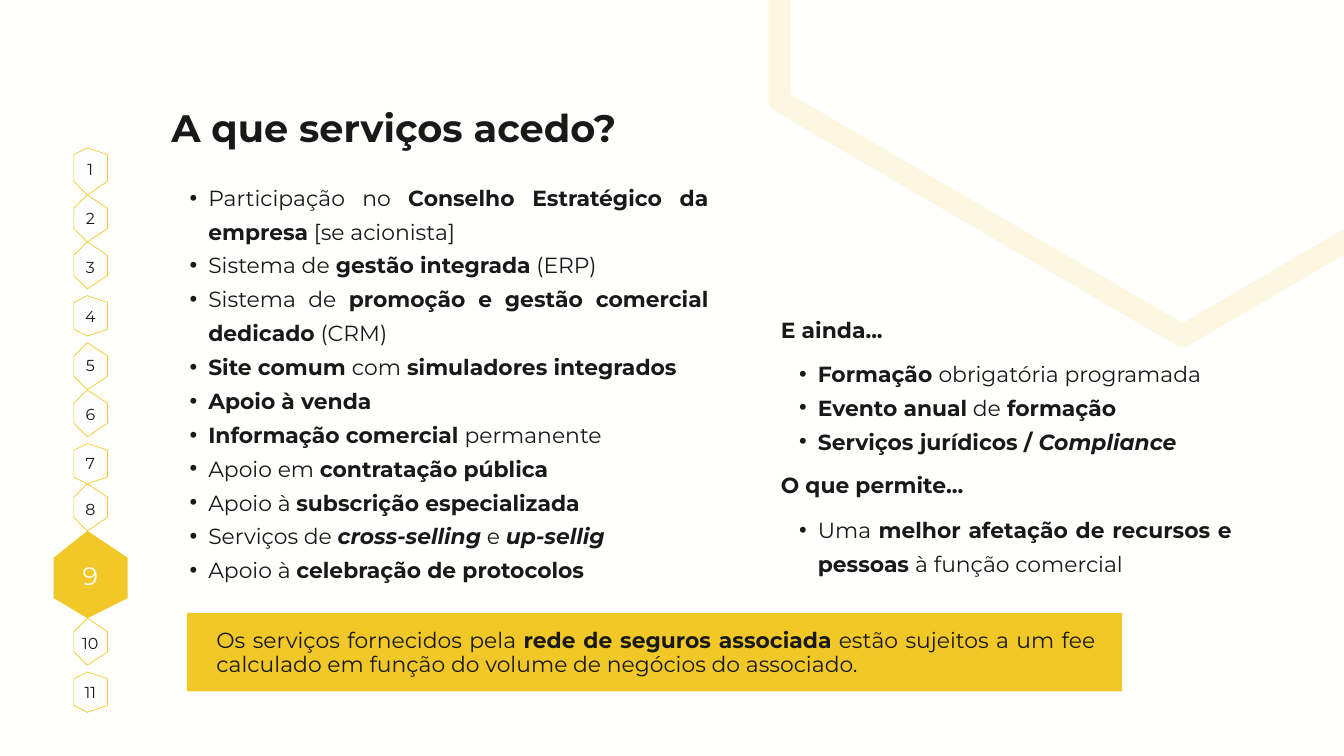
from lxml import etree
from pptx import Presentation
from pptx.dml.color import RGBColor
from pptx.enum.shapes import MSO_SHAPE
from pptx.enum.text import MSO_ANCHOR, MSO_AUTO_SIZE, PP_ALIGN
from pptx.oxml.ns import qn
from pptx.util import Inches, Pt

RECT = MSO_SHAPE.RECTANGLE
MIDDLE = MSO_ANCHOR.MIDDLE
GROW = MSO_AUTO_SIZE.SHAPE_TO_FIT_TEXT
LEFT, CENTER, JUST = PP_ALIGN.LEFT, PP_ALIGN.CENTER, PP_ALIGN.JUSTIFY

COLORS = {"paper": "FFFFFE", "white": "FFFEFE", "gold": "F1C828", "ink": "191919"}
FONT = "Montserrat"
BODY, LEAD = 23.4, 36.3

# The slide is a grid of 200 columns by 112.5 rows of square cells
CELL = Inches(20) // 200
COLS, ROWS = 200, 112.5

# Runs are (text, style): b is bold, i is italic
ACCESS = [
    [("Participação no ", ""), ("Conselho Estratégico da empresa", "b"),
     (" [se acionista]", "")],
    [("Sistema de", ""), (" gestão integrada", "b"), (" (ERP)", "")],
    [("Sistema de ", ""), ("promoção e gestão comercial dedicado", "b"), (" (CRM)", "")],
    [("Site comum ", "b"), ("com", ""), (" simuladores integrados", "b")],
    [("Apoio à venda", "b")],
    [("Informação comercial ", "b"), ("permanente", "")],
    [("Apoio em ", ""), ("contratação pública", "b")],
    [("Apoio à ", ""), ("subscrição especializada", "b")],
    [("Serviços de ", ""), ("cross-selling", "bi"), (" e ", ""), ("up-sellig", "bi")],
    [("Apoio à ", ""), ("celebração de protocolos", "b")],
]
EXTRA = [
    [("Formação ", "b"), ("obrigatória programada", "")],
    [("Evento anual", "b"), (" de", ""), (" formação", "b")],
    [("Serviços jurídicos / ", "b"), ("Compliance", "bi")],
]
GAIN = [[("Uma ", ""), ("melhor afetação de recursos e pessoas ", "b"),
         ("à função comercial", "")]]
FEE = [[("Os serviços fornecidos pela ", ""), ("rede de seguros associada", "b"),
        (" estão sujeitos a um fee calculado em função do volume"
         " de negócios do associado.", "")]]


def rgb(name):
    return RGBColor.from_string(COLORS[name])


def grid(box):
    return [round(v * CELL) for v in box]


def bullet(par):
    props = par._p.get_or_add_pPr()
    props.set("marL", str(Inches(0.55)))
    props.set("indent", str(Inches(-0.28)))
    props.set("lvl", "1")
    etree.SubElement(props, qn("a:buFont")).set("typeface", "Arial")
    etree.SubElement(props, qn("a:buChar")).set("char", "•")


def write(slide, box, paras, size=BODY, lead=LEAD, align=JUST, color="ink",
          dots=False, pad=0):
    shape = slide.shapes.add_textbox(*grid(box))
    frame = shape.text_frame
    frame.word_wrap = True
    frame.margin_left = frame.margin_right = Inches(pad)
    frame.margin_top = frame.margin_bottom = Inches(pad)
    if pad:
        frame.vertical_anchor = MIDDLE
    else:
        frame.auto_size = GROW
    for n, runs in enumerate(paras):
        par = frame.add_paragraph() if n else frame.paragraphs[0]
        if dots:
            bullet(par)
        par.alignment = align
        par.line_spacing = Pt(lead)
        for text, style in runs:
            run = par.add_run()
            run.text = text
            font = run.font
            font.name, font.size = FONT, Pt(size)
            font.bold, font.italic = "b" in style, "i" in style
            font.color.rgb = rgb(color)


def hexagon(slide, box):
    x, y, w, h = box
    points = [(x + w * a, y + h * b) for a, b in
              [(0.5, 0), (1, 0.25), (1, 0.75), (0.5, 1), (0, 0.75), (0, 0.25)]]
    pen = slide.shapes.build_freeform(*points[0], scale=CELL)
    pen.add_line_segments(points[1:], close=True)
    shape = pen.convert_to_shape()
    shape.shadow.inherit = False
    return shape


def backdrop(slide, box):
    shape = hexagon(slide, box)
    shape.fill.background()
    shape.line.width = Pt(24)
    shape.line.color.rgb = rgb("gold")
    tint = shape.line._ln.find(".//" + qn("a:srgbClr"))
    etree.SubElement(tint, qn("a:alpha")).set("val", "12000")


def badge(slide, box, label, active):
    x, y, w, h = box
    shape = hexagon(slide, box)
    shape.fill.solid()
    shape.fill.fore_color.rgb = rgb("gold" if active else "white")
    if active:
        shape.line.fill.background()
    else:
        shape.line.color.rgb = rgb("gold")
        shape.line.width = Pt(0.75)
    size = 27 if active else 17
    write(slide, (x, y + h * 0.11, w, h * 0.72), [[(label, "")]], size,
          size * 1.4, CENTER, "white" if active else "ink", pad=0.06)


def steps(slide, box, count, current):
    x, y, w, h = box
    small, gap, wide, tall = (5.6, 6.9), 0.4, 10.9, 12.6
    pitch = small[1] + gap
    for n in range(1, count + 1):
        if n == current:
            spot = (x, y + 57.7, wide, tall)
        else:
            # Steps from the one before the current on touch their neighbours
            top = (n - 1) * pitch
            if n == current - 1:
                top -= 0.5
            elif n > current:
                top = h - small[1] - (count - n) * pitch
            spot = (x + (w - small[0]) / 2, y + top, *small)
        badge(slide, spot, str(n), n == current)


def services(slide, box):
    x, y, w, h = box
    write(slide, (x, y, w, 7.7), [[("A que serviços acedo?", "b")]], 41, 57.4, LEFT)
    write(slide, (x, y + 11.9, w, h - 11.9), ACCESS, dots=True)


def extras(slide, box):
    x, y, w, h = box
    write(slide, (x, y, w, 4.8), [[("E ainda...", "b")]])
    write(slide, (x, y + 6.5, w, 14.8), EXTRA, dots=True)
    write(slide, (x, y + 23.1, w, 4.8), [[("O que permite...", "b")]])
    write(slide, (x, y + 29.7, w, h - 29.7), GAIN, dots=True)


def notice(slide, box):
    x, y, w, h = box
    band = slide.shapes.add_shape(RECT, *grid(box))
    band.shadow.inherit = False
    band.fill.solid()
    band.fill.fore_color.rgb = rgb("gold")
    band.line.fill.background()
    write(slide, (x + 4.4, y + 2.2, w - 8.4, h - 4.3), FEE, lead=26.5)


def main():
    deck = Presentation()
    deck.slide_width, deck.slide_height = grid((COLS, ROWS))
    slide = deck.slides.add_slide(deck.slide_layouts[6])
    fill = slide.background.fill
    fill.solid()
    fill.fore_color.rgb = rgb("paper")

    backdrop(slide, (116.2, -89.5, 120.2, 139.9))
    notice(slide, (27.8, 91.2, 139.2, 11.7))
    services(slide, (25.5, 14.4, 79.9, 71.7))
    extras(slide, (116.2, 46, 67.1, 39.5))
    steps(slide, (8, 21.7, 10.9, 84.7), 11, 9)
    deck.save("out.pptx")


if __name__ == "__main__":
    main()
